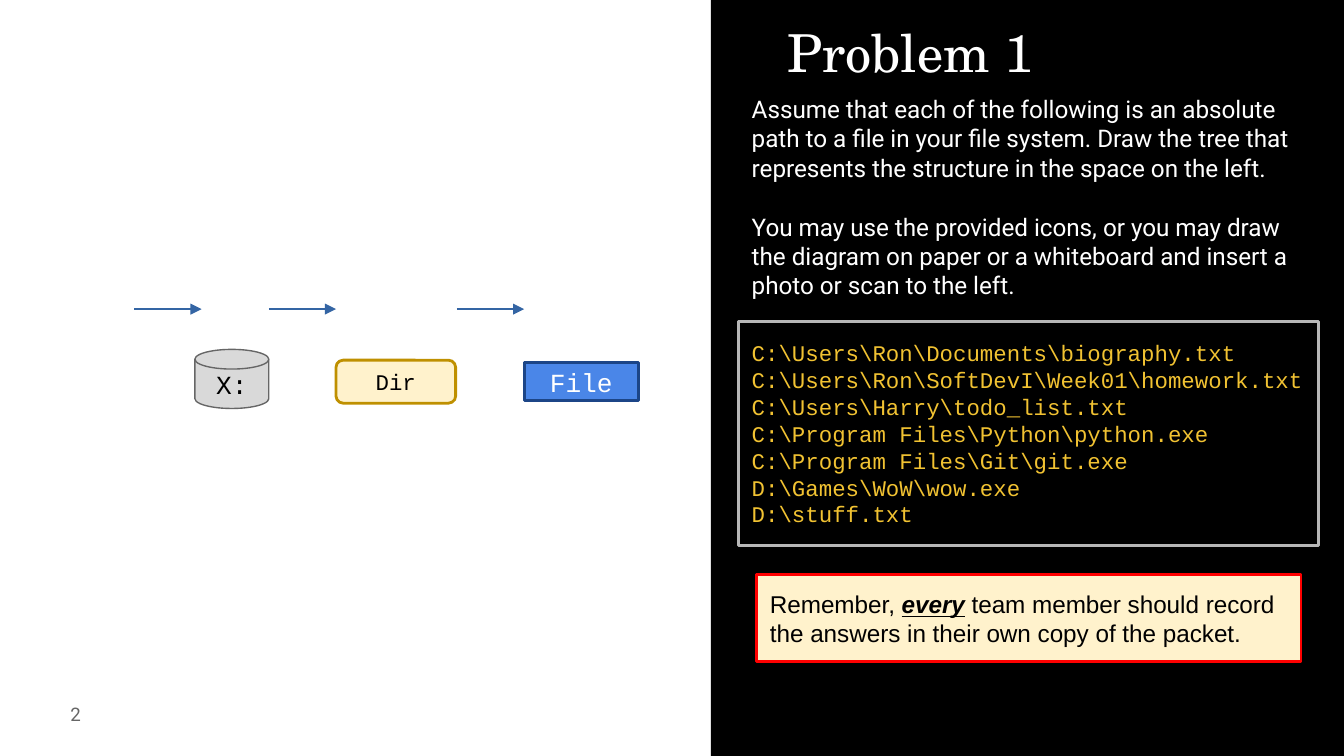
from dataclasses import dataclass

from lxml.etree import SubElement
from pptx import Presentation
from pptx.dml.color import RGBColor
from pptx.enum.shapes import MSO_CONNECTOR, MSO_SHAPE
from pptx.enum.text import MSO_ANCHOR, MSO_AUTO_SIZE, PP_ALIGN
from pptx.oxml.ns import qn
from pptx.util import Pt

PX = 4572  # 200 px to the inch


@dataclass(frozen=True)
class Theme:
    black: str = "000000"
    white: str = "FFFFFF"
    gray: str = "666666"
    disk: str = "D9D9D9"
    frame: str = "B7B7B7"
    gold: str = "F1C232"
    cream: str = "FFF2CC"
    dark_gold: str = "BF9000"
    red: str = "FF0000"
    blue: str = "4A86E8"
    navy: str = "1C4587"
    arrow: str = "3465A4"
    heading: str = "TeX Gyre Schola"
    body: str = "Roboto"
    code: str = "Courier New"
    note: str = "Arial"
    title_size: int = 28
    icon_size: int = 14
    body_size: int = 13
    code_size: int = 12
    number_size: int = 10


theme = Theme()


def write(shape, paragraphs, font, size, color, align=PP_ALIGN.LEFT, anchor=MSO_ANCHOR.MIDDLE):
    """Fill the shape with paragraphs, each a list of runs."""
    frame = shape.text_frame
    frame.text = "\n".join(runs[0] for runs in paragraphs)
    frame.word_wrap = True
    frame.auto_size = MSO_AUTO_SIZE.NONE
    frame.vertical_anchor = anchor
    frame.margin_left = frame.margin_right = 20 * PX
    frame.margin_top = frame.margin_bottom = 20 * PX
    for paragraph, runs in zip(frame.paragraphs, paragraphs):
        paragraph.alignment = align
        for text in runs[1:]:
            paragraph.add_run().text = text
        for run in paragraph.runs:
            run.font.name = font
            run.font.size = Pt(size)
            run.font.color.rgb = RGBColor.from_string(color)


def add_box(kind, box, fill, line=None, weight=1.5):
    shape = slide.shapes.add_shape(kind, *(n * PX for n in box))
    shape.shadow.inherit = False
    shape.fill.solid()
    shape.fill.fore_color.rgb = RGBColor.from_string(fill)
    if line:
        shape.line.color.rgb = RGBColor.from_string(line)
        shape.line.width = Pt(weight)
    else:
        shape.line.fill.background()
    return shape


deck = Presentation()
deck.slide_width, deck.slide_height = 2000 * PX, 1125 * PX
slide = deck.slides.add_slide(deck.slide_layouts[5])

# Black panel, behind the title
panel = add_box(MSO_SHAPE.RECTANGLE, (1058, 0, 944, 1125), theme.black)
slide.shapes._spTree.insert(2, panel._element)

# Title
title = slide.shapes.title
title.left, title.top, title.width, title.height = (n * PX for n in (1152, 10, 810, 140))
write(title, [["Problem 1"]], theme.heading, theme.title_size, theme.white, anchor=MSO_ANCHOR.TOP)

# Slide number
number = slide.shapes.add_textbox(20 * PX, 1020 * PX, 120 * PX, 86 * PX)
write(number, [["2"]], theme.body, theme.number_size, theme.gray, PP_ALIGN.RIGHT)

# Instructions
instructions = slide.shapes.add_textbox(1099 * PX, 150 * PX, 862 * PX, 286 * PX)
tasks = [
    ["Assume that each of the following is an absolute path to a file in your file system. "
     "Draw the tree that represents the structure in the space on the left."],
    ["You may use the provided icons, or you may draw the diagram on paper or a whiteboard "
     "and insert a photo or scan to the left."],
]
write(instructions, tasks, theme.body, theme.body_size, theme.white)
instructions.text_frame.paragraphs[1].space_before = Pt(16)

# File paths
file_paths = r"""C:\Users\Ron\Documents\biography.txt
C:\Users\Ron\SoftDevI\Week01\homework.txt
C:\Users\Harry\todo_list.txt
C:\Program Files\Python\python.exe
C:\Program Files\Git\git.exe
D:\Games\WoW\wow.exe
D:\stuff.txt"""
listing = add_box(MSO_SHAPE.RECTANGLE, (1099, 478, 863, 334), theme.black, theme.frame)
write(listing, [[line] for line in file_paths.splitlines()],
      theme.code, theme.code_size, theme.gold)

# Icons for the tree: drive, directory, file
icons = [
    ("X:", MSO_SHAPE.FLOWCHART_MAGNETIC_DISK, (290, 520, 110, 88),
     theme.disk, theme.gray, 0.75, theme.icon_size, theme.black),
    ("Dir", MSO_SHAPE.ROUNDED_RECTANGLE, (500, 536, 178, 64),
     theme.cream, theme.dark_gold, 1.5, theme.code_size, theme.black),
    ("File", MSO_SHAPE.RECTANGLE, (780, 540, 170, 56),
     theme.blue, theme.navy, 1.5, theme.icon_size, theme.white),
]
for label, kind, box, fill, line, weight, size, color in icons:
    icon = add_box(kind, box, fill, line, weight)
    write(icon, [[label]], theme.code, size, color, PP_ALIGN.CENTER)

# Reminder
reminder = add_box(MSO_SHAPE.RECTANGLE, (1126, 855, 810, 130), theme.cream, theme.red)
reminder_runs = [
    "Remember, ", "every",
    " team member should record the answers in their own copy of the packet.",
]
write(reminder, [reminder_runs], theme.note, theme.body_size, theme.black)
emphasis = reminder.text_frame.paragraphs[0].runs[1].font
emphasis.bold = emphasis.italic = emphasis.underline = True

# Arrows for the tree
for start in (200, 400, 680):
    arrow = slide.shapes.add_connector(
        MSO_CONNECTOR.STRAIGHT, start * PX, 460 * PX, (start + 100) * PX, 460 * PX
    )
    arrow.line.color.rgb = RGBColor.from_string(theme.arrow)
    arrow.line.width = Pt(0.75)
    SubElement(arrow.line._get_or_add_ln(), qn("a:tailEnd"), type="triangle")
    SubElement(arrow._element.spPr, qn("a:effectLst"))

deck.save("out.pptx")
